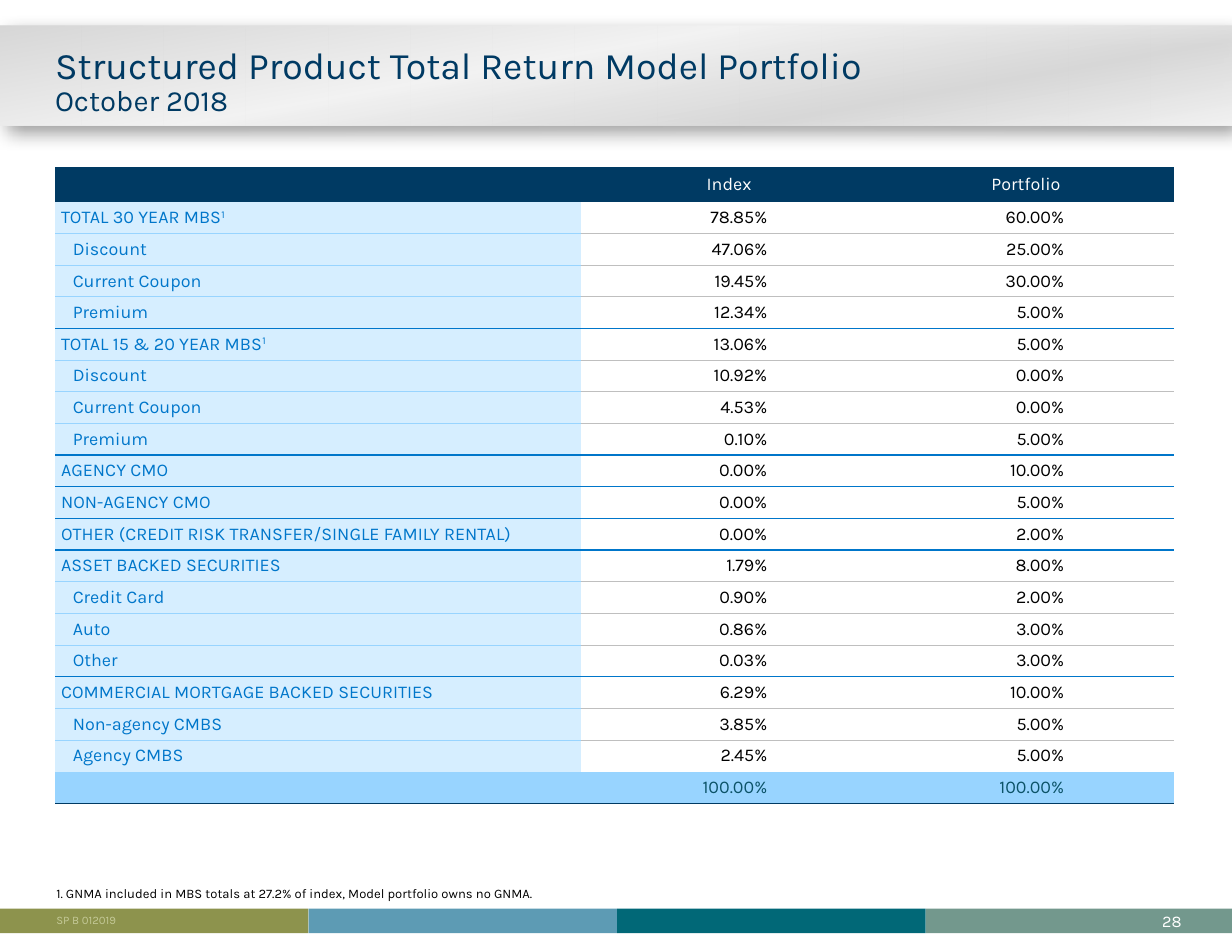
from lxml import etree
from pptx import Presentation
from pptx.dml.color import RGBColor
from pptx.enum.shapes import MSO_SHAPE
from pptx.enum.text import MSO_ANCHOR as ANCHOR, PP_ALIGN as ALIGN
from pptx.oxml import parse_xml
from pptx.oxml.ns import nsdecls, qn
from pptx.util import Inches, Pt

FONT = "Karla"
NAVY = RGBColor(0x00, 0x3A, 0x63)
BLUE = RGBColor(0x00, 0x76, 0xCA)
SKY = RGBColor(0x98, 0xD4, 0xFF)
PALE = RGBColor(0xD6, 0xEE, 0xFF)
GREY = RGBColor(0xBF, 0xBF, 0xBF)
TEAL = RGBColor(0x0C, 0x53, 0x68)
LIME = RGBColor(0xC4, 0xC9, 0x97)
WHITE = RGBColor(0xFF, 0xFF, 0xFF)
BLACK = RGBColor(0x00, 0x00, 0x00)
FOOTER = [RGBColor(0x8D, 0x93, 0x4D), RGBColor(0x5D, 0x9B, 0xB4),
          RGBColor(0x01, 0x68, 0x77), RGBColor(0x73, 0x98, 0x8D)]
BAND_STOPS = [(0, "D6D6D6", 100), (41, "F2F2F2", 100),
              (73, "DBDBDB", 93), (100, "F2F2F2", 100)]

# Label, index, portfolio, whether the row is a sub-item
ROWS = [
    ("TOTAL 30 YEAR MBS^1", "78.85%", "60.00%", False),
    ("Discount", "47.06%", "25.00%", True),
    ("Current Coupon", "19.45%", "30.00%", True),
    ("Premium", "12.34%", "5.00%", True),
    ("TOTAL 15 & 20 YEAR MBS^1", "13.06%", "5.00%", False),
    ("Discount", "10.92%", "0.00%", True),
    ("Current Coupon", "4.53%", "0.00%", True),
    ("Premium", "0.10%", "5.00%", True),
    ("AGENCY CMO", "0.00%", "10.00%", False),
    ("NON-AGENCY CMO", "0.00%", "5.00%", False),
    ("OTHER (CREDIT RISK TRANSFER/SINGLE FAMILY RENTAL)", "0.00%", "2.00%", False),
    ("ASSET BACKED SECURITIES", "1.79%", "8.00%", False),
    ("Credit Card", "0.90%", "2.00%", True),
    ("Auto", "0.86%", "3.00%", True),
    ("Other", "0.03%", "3.00%", True),
    ("COMMERCIAL MORTGAGE BACKED SECURITIES", "6.29%", "10.00%", False),
    ("Non-agency CMBS", "3.85%", "5.00%", True),
    ("Agency CMBS", "2.45%", "5.00%", True),
]


def add_text(p, text, size=11, color=BLACK, align=ALIGN.LEFT):
    """Add text to a paragraph; a part after ^ is superscript."""
    p.alignment = align
    if not text:
        etree.SubElement(p._p, qn("a:endParaRPr"), sz=str(size * 100))
        return
    for i, part in enumerate(text.split("^")):
        r = p.add_run()
        r.text = part
        r.font.size, r.font.name = Pt(size), FONT
        r.font.color.rgb = color
        if i:
            r.font._element.set("baseline", "30000")


class SlideBuilder:
    def __init__(self, slide):
        self.slide = slide

    def rect(self, x, y, w, h, color=None):
        sp = self.slide.shapes.add_shape(
            MSO_SHAPE.RECTANGLE, Inches(x), Inches(y), Inches(w), Inches(h))
        sp.shadow.inherit = False
        sp.line.fill.background()
        if color is not None:
            sp.fill.solid()
            sp.fill.fore_color.rgb = color
        return sp

    def band(self, x, y, w, h, stops, angle):
        """Gradient rectangle with a soft shadow."""
        sp = self.rect(x, y, w, h)
        gs = "".join(
            f'<a:gs pos="{pos * 1000}"><a:srgbClr val="{c}">'
            f'<a:alpha val="{alpha * 1000}"/></a:srgbClr></a:gs>'
            for pos, c, alpha in stops)
        sp._element.spPr.find(qn("a:prstGeom")).addnext(parse_xml(
            f'<a:gradFill {nsdecls("a")} rotWithShape="1"><a:gsLst>{gs}</a:gsLst>'
            f'<a:lin ang="{angle * 60000}" scaled="0"/></a:gradFill>'))
        sp._element.spPr.find(qn("a:effectLst")).append(parse_xml(
            f'<a:outerShdw {nsdecls("a")} blurRad="{Pt(12)}" dist="{Pt(6)}" '
            f'dir="{45 * 60000}" algn="tl" rotWithShape="0">'
            '<a:srgbClr val="000000"><a:alpha val="40000"/></a:srgbClr></a:outerShdw>'))

    def text(self, x, y, w, h, lines, anchor=ANCHOR.BOTTOM, spacing=None):
        """Text box; each line is (text, format) and lines share one paragraph."""
        tb = self.slide.shapes.add_textbox(Inches(x), Inches(y), Inches(w), Inches(h))
        tf = tb.text_frame
        tf.margin_left = tf.margin_right = tf.margin_top = tf.margin_bottom = 0
        tf.word_wrap, tf.vertical_anchor = True, anchor
        p = tf.paragraphs[0]
        if spacing:
            p.line_spacing = spacing
        for i, (text, fmt) in enumerate(lines):
            if i:
                p.add_line_break()
            add_text(p, text, **fmt)

    def table(self, x, y, widths, heights):
        gf = self.slide.shapes.add_table(
            len(heights), len(widths), Inches(x), Inches(y),
            Inches(sum(widths)), Inches(sum(heights)))
        t = gf.table
        t.first_row = t.horz_banding = False
        for col, w in zip(t.columns, widths):
            col.width = Inches(w)
        for row, h in zip(t.rows, heights):
            row.height = Inches(h)
        return t

    def cell(self, cell, text, left=0.01, right=0.01, fill=None,
             top=None, bottom=None, **fmt):
        """Fill one table cell; top and bottom are (colour, points) or None."""
        cell.margin_left, cell.margin_right = Inches(left), Inches(right)
        cell.margin_top = cell.margin_bottom = 0
        cell.vertical_anchor = ANCHOR.MIDDLE
        add_text(cell.text_frame.paragraphs[0], text, **fmt)
        tcPr = cell._tc.get_or_add_tcPr()
        for tag, edge in (("lnL", None), ("lnR", None), ("lnT", top), ("lnB", bottom)):
            ln = etree.SubElement(tcPr, qn(f"a:{tag}"))
            if edge:
                ln.set("w", str(Pt(edge[1])))
                solid = etree.SubElement(ln, qn("a:solidFill"))
                etree.SubElement(solid, qn("a:srgbClr"), val=str(edge[0]))
            else:
                etree.SubElement(ln, qn("a:noFill"))
        if fill is None:
            cell.fill.background()
        else:
            cell.fill.solid()
            cell.fill.fore_color.rgb = fill


def main():
    prs = Presentation()
    prs.slide_width, prs.slide_height = Inches(10.5), Inches(8)
    s = SlideBuilder(prs.slides.add_slide(prs.slide_layouts[6]))

    # Title band and footer strip
    s.band(0, 0.22, 10.5, 0.85, BAND_STOPS, 80)
    for i, color in enumerate(FOOTER):
        x = 2.63 * i
        s.rect(x, 7.74, min(2.63, 10.5 - x), 0.21, color)

    # Title
    s.text(0.47, 0.41, 7.4, 0.59, [
        ("Structured Product Total Return Model Portfolio", dict(size=23, color=NAVY)),
        ("October 2018", dict(size=18, color=NAVY))], spacing=0.85)

    # Table header
    t = s.table(0.47, 1.42, [4.48, 2.53, 2.53], [0.3] + [0.27] * (len(ROWS) + 1))
    for c, head in enumerate(["", "Index", "Portfolio"]):
        s.cell(t.cell(0, c), head, fill=NAVY, color=WHITE, align=ALIGN.CENTER)

    # Table body: a blue rule above each group, a thin one inside it
    last = len(ROWS) - 1
    for i, (label, index, portfolio, sub) in enumerate(ROWS):
        for c, value in enumerate([label, index, portfolio]):
            thin, thick = (GREY if c else SKY, 0.5), (BLUE, 1)
            top = None if i == 0 else thin if sub else thick
            bottom = None if i == last else thin if ROWS[i + 1][3] else thick
            fmt = (dict(right=0.94, align=ALIGN.RIGHT) if c else
                   dict(left=0.15 if sub else 0.05, fill=PALE, color=BLUE))
            s.cell(t.cell(i + 1, c), value, top=top, bottom=bottom, **fmt)

    # Table total
    for c, value in enumerate(["", "100.00%", "100.00%"]):
        s.cell(t.cell(len(ROWS) + 1, c), value, right=0.94, fill=SKY,
               bottom=(NAVY, 0.5), color=TEAL, align=ALIGN.RIGHT)

    # Footnote, page number and document code
    s.text(0.48, 7.55, 9.73, 0.13, [
        ("1. GNMA included in MBS totals at 27.2% of index, "
         "Model portfolio owns no GNMA.", dict(size=8))])
    s.text(9.77, 7.76, 0.3, 0.17,
           [("28", dict(size=10, color=WHITE, align=ALIGN.RIGHT))])
    s.text(0.48, 7.78, 0.8, 0.12, [("SP B 012019", dict(size=7, color=LIME))],
           anchor=ANCHOR.MIDDLE)

    prs.save("out.pptx")


if __name__ == "__main__":
    main()
